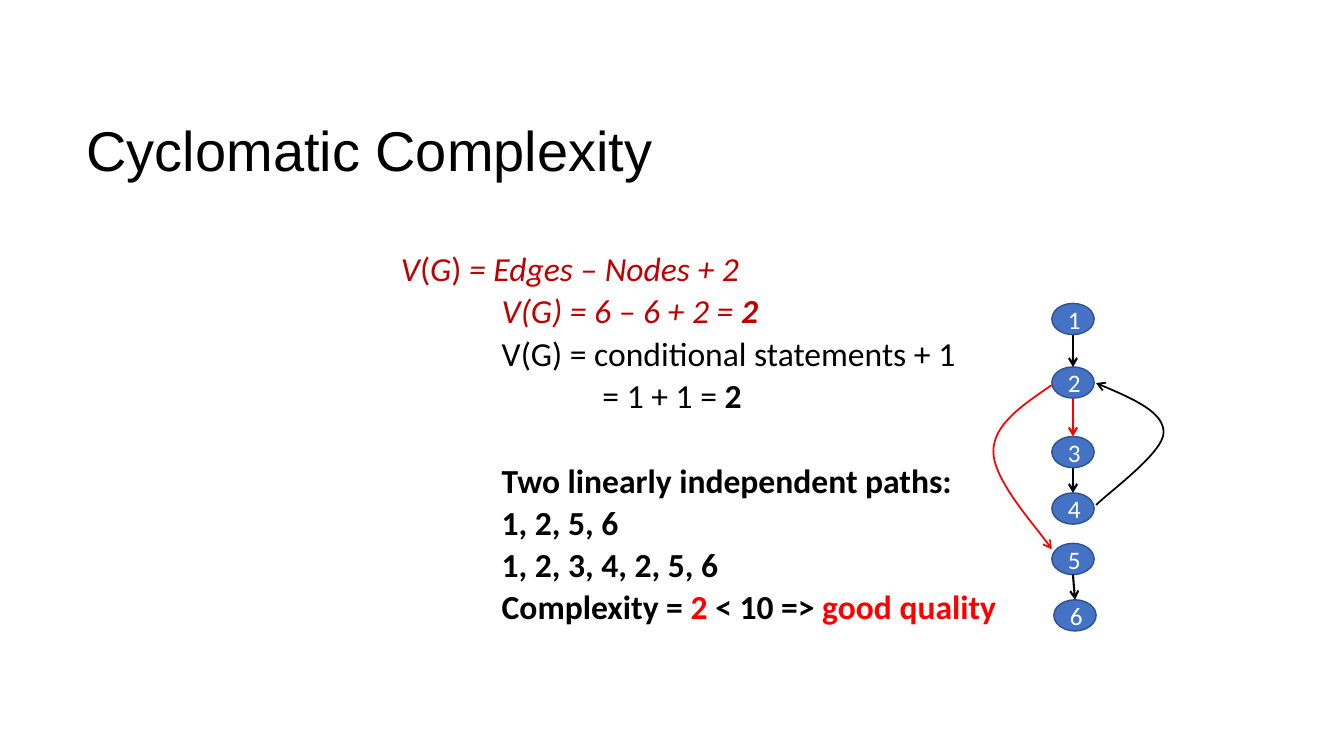
from dataclasses import dataclass
from itertools import pairwise

from lxml.etree import SubElement
from pptx import Presentation
from pptx.dml.color import RGBColor
from pptx.enum.shapes import MSO_CONNECTOR, MSO_SHAPE
from pptx.enum.text import MSO_ANCHOR, MSO_AUTO_SIZE, PP_ALIGN
from pptx.oxml.ns import qn
from pptx.util import Inches, Pt


@dataclass(frozen=True)
class Theme:
    title_font: str = "Arial"
    body_font: str = "Calibri"
    title_size: int = 40
    body_size: int = 24
    node_size: int = 18
    black: str = "000000"
    white: str = "FFFFFF"
    red: str = "FF0000"
    dark_red: str = "C00000"
    node_fill: str = "4472C4"
    node_line: str = "2F528F"


THEME = Theme()
NODE_WIDTH, NODE_HEIGHT = 0.42, 0.31

# Node number: left, top
NODES = {
    1: (10.44, 3.01), 2: (10.44, 3.64), 3: (10.44, 4.33),
    4: (10.44, 4.89), 5: (10.44, 5.39), 6: (10.46, 5.95),
}
# Each edge starts at a point, then has three points for every Bezier piece
LOOP_BACK = [(10.88, 5.01), (11.01, 4.88), (11.55, 4.49), (11.55, 4.29),
             (11.55, 4.09), (11.21, 3.94), (10.88, 3.8)]
LOOP_EXIT = [(10.44, 3.82), (10.15, 4.02), (9.86, 4.21), (9.86, 4.48),
             (9.86, 4.75), (10.33, 5.28), (10.44, 5.45)]

# Indent in inches, space before in points, runs of (text, colour, style)
LINES = [
    (0, 0, [("V", THEME.dark_red, "i"), ("(", THEME.dark_red, ""),
            ("G", THEME.dark_red, "i"), (")", THEME.dark_red, ""),
            (" = Edges – Nodes + 2", THEME.dark_red, "i")]),
    (1, 10, [("V(G) = 6 – 6 + 2 = ", THEME.dark_red, "i"),
             ("2", THEME.dark_red, "bi")]),
    (1, 10, [("V(G) = conditional statements + 1", THEME.black, "")]),
    (2, 10, [("= 1 + 1 = ", THEME.black, ""), ("2", THEME.black, "b")]),
    (1, 40.5, [("Two linearly independent paths:", THEME.black, "b")]),
    (1, 10, [("1, 2, 5, 6", THEME.black, "b")]),
    (1, 10, [("1, 2, 3, 4, 2, 5, 6", THEME.black, "b")]),
    (1, 10, [("Complexity = ", THEME.black, "b"), ("2", THEME.red, "b"),
             (" < 10 => ", THEME.black, "b"),
             ("good quality", THEME.red, "b")]),
]


class SlideBuilder:
    def __init__(self, slide, theme):
        self.slide = slide
        self.theme = theme

    def add_run(self, paragraph, text, font_name, size, color, style=""):
        run = paragraph.add_run()
        run.text = text
        run.font.name = font_name
        run.font.size = Pt(size)
        run.font.color.rgb = RGBColor.from_string(color)
        run.font.bold = "b" in style
        run.font.italic = "i" in style

    def prepare_placeholder(self, shape, box, anchor):
        """Place a placeholder and return its text frame without margins."""
        shape.left, shape.top, shape.width, shape.height = map(Inches, box)
        frame = shape.text_frame
        frame.auto_size = MSO_AUTO_SIZE.NONE
        frame.word_wrap = True
        frame.vertical_anchor = anchor
        frame.margin_left = frame.margin_right = 0
        frame.margin_top = frame.margin_bottom = 0
        return frame

    def title(self, text, box):
        frame = self.prepare_placeholder(
            self.slide.shapes.title, box, MSO_ANCHOR.BOTTOM)
        paragraph = frame.paragraphs[0]
        paragraph.alignment = PP_ALIGN.LEFT
        paragraph.line_spacing = 0.9
        self.add_run(paragraph, text, self.theme.title_font,
                     self.theme.title_size, self.theme.black)

    def body(self, lines, box):
        frame = self.prepare_placeholder(
            self.slide.placeholders[1], box, MSO_ANCHOR.TOP)
        for number, (indent, space_before, runs) in enumerate(lines):
            paragraph = frame.add_paragraph() if number else frame.paragraphs[0]
            properties = paragraph._p.get_or_add_pPr()
            properties.set("marL", str(Inches(indent)))
            properties.set("indent", "0")
            SubElement(properties, qn("a:buNone"))
            paragraph.alignment = PP_ALIGN.LEFT
            paragraph.line_spacing = 0.7
            paragraph.space_before = Pt(space_before)
            for text, color, style in runs:
                self.add_run(paragraph, text, self.theme.body_font,
                             self.theme.body_size, color, style)

    def node(self, label, left, top):
        shape = self.slide.shapes.add_shape(
            MSO_SHAPE.OVAL, Inches(left), Inches(top),
            Inches(NODE_WIDTH), Inches(NODE_HEIGHT))
        shape.shadow.inherit = False
        shape.fill.solid()
        shape.fill.fore_color.rgb = RGBColor.from_string(self.theme.node_fill)
        shape.line.color.rgb = RGBColor.from_string(self.theme.node_line)
        shape.line.width = Pt(1)
        shape.text_frame.vertical_anchor = MSO_ANCHOR.MIDDLE
        paragraph = shape.text_frame.paragraphs[0]
        paragraph.alignment = PP_ALIGN.CENTER
        self.add_run(paragraph, label, self.theme.body_font,
                     self.theme.node_size, self.theme.white)
        return shape

    def style_arrow(self, shape, color, width):
        shape.line.color.rgb = RGBColor.from_string(color)
        shape.line.width = Pt(width)
        SubElement(shape.line._get_or_add_ln(), qn("a:tailEnd"), type="arrow")

    def straight_edge(self, source, target, color):
        connector = self.slide.shapes.add_connector(
            MSO_CONNECTOR.STRAIGHT,
            source.left + source.width // 2, source.top + source.height,
            target.left + target.width // 2, target.top)
        connector.end_connect(target, 0)
        self.style_arrow(connector, color, 1.5)
        SubElement(connector._element.spPr, qn("a:effectLst"))

    def curved_edge(self, points, color):
        """Draw an open outline whose points are Bezier control points."""
        start, *rest = [(Inches(x), Inches(y)) for x, y in points]
        builder = self.slide.shapes.build_freeform(*start)
        builder.add_line_segments(rest, close=False)
        shape = builder.convert_to_shape()
        outline = next(shape._element.iter(qn("a:path")))
        segments = outline.findall(qn("a:lnTo"))
        for first in range(0, len(segments), 3):
            curve = SubElement(outline, qn("a:cubicBezTo"))
            for segment in segments[first:first + 3]:
                curve.append(segment[0])
                outline.remove(segment)
        shape.shadow.inherit = False
        shape.fill.background()
        self.style_arrow(shape, color, 1.25)


def main():
    presentation = Presentation()
    presentation.slide_width = Inches(13.34)
    presentation.slide_height = Inches(7.5)
    slide = presentation.slides.add_slide(presentation.slide_layouts[1])
    builder = SlideBuilder(slide, THEME)

    builder.title("Cyclomatic Complexity", (0.86, 1.05, 9, 0.77))
    builder.body(LINES, (3.98, 2.57, 6.2, 4.08))

    nodes = {number: builder.node(str(number), *position)
             for number, position in NODES.items()}
    for source, target in pairwise(nodes):
        if (source, target) != (4, 5):
            color = THEME.red if source == 2 else THEME.black
            builder.straight_edge(nodes[source], nodes[target], color)
    builder.curved_edge(LOOP_BACK, THEME.black)
    builder.curved_edge(LOOP_EXIT, THEME.red)

    presentation.save("out.pptx")


if __name__ == "__main__":
    main()
